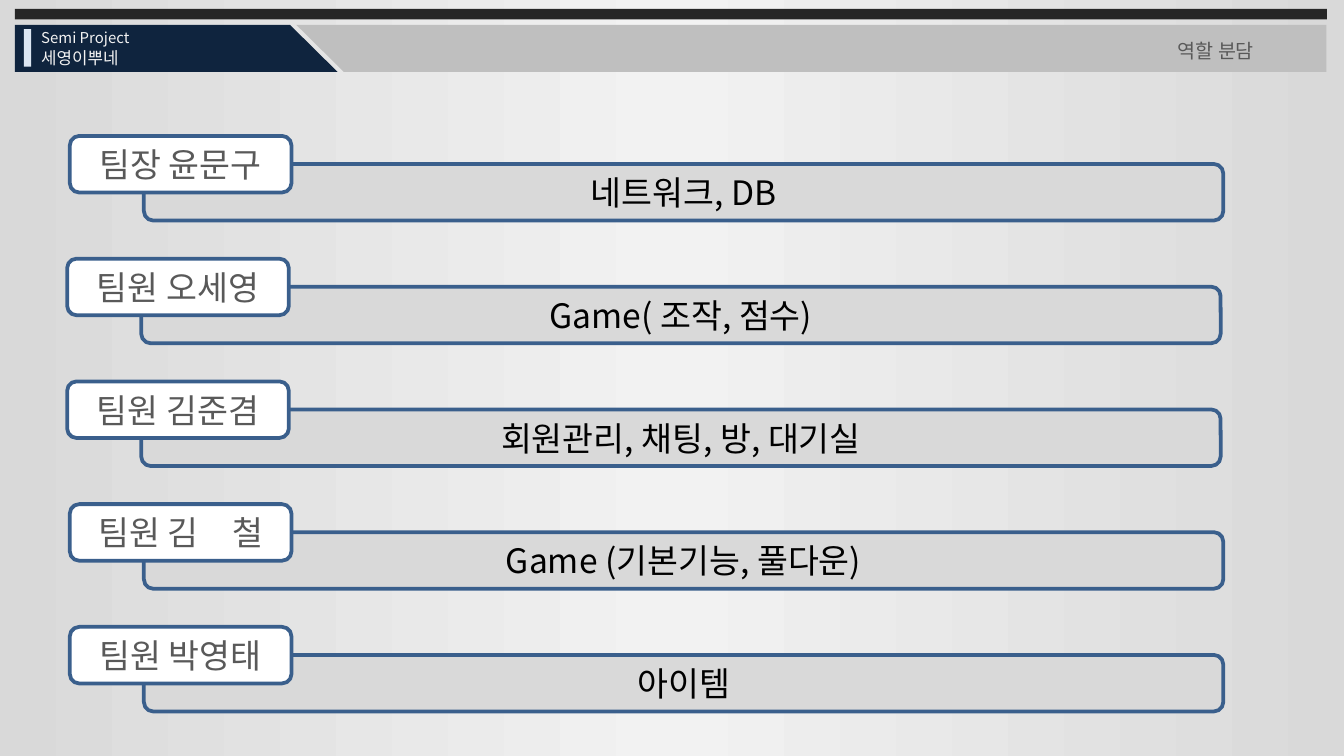
from copy import deepcopy

from lxml import etree
from pptx import Presentation
from pptx.dml.color import RGBColor
from pptx.enum.shapes import MSO_SHAPE
from pptx.enum.text import MSO_ANCHOR, MSO_AUTO_SIZE, PP_ALIGN
from pptx.oxml.ns import qn
from pptx.util import Cm, Pt

RECT = MSO_SHAPE.RECTANGLE
ROUND = MSO_SHAPE.ROUNDED_RECTANGLE
WEDGE = MSO_SHAPE.RIGHT_TRIANGLE
LEFT, CENTER = PP_ALIGN.LEFT, PP_ALIGN.CENTER
MIDDLE = MSO_ANCHOR.MIDDLE
GROW = MSO_AUTO_SIZE.SHAPE_TO_FIT_TEXT

FONT = "Noto Sans CJK KR"
HUES = {
    "edge": "D9D9D9", "glow": "F2F2F2", "dark": "262626", "navy": "0F243E",
    "gray": "BFBFBF", "pale": "DCE6F2", "line": "3A5F8C", "white": "FFFFFF",
    "text": "595959", "black": "000000",
}

# Member, role, left edge in cm
TEAM = [
    ("팀장 윤문구", "네트워크, DB", 1.32),
    ("팀원 오세영", "Game( 조작, 점수)", 1.27),
    ("팀원 김준겸", "회원관리, 채팅, 방, 대기실", 1.27),
    ("팀원 김　철", "Game (기본기능, 풀다운)", 1.32),
    ("팀원 박영태", "아이템", 1.32),
]
# Kind, box in cm, colour, turn in degrees
HEAD = [
    (RECT, (0.28, 0.17, 24.8, 0.2), "dark", 0),
    (RECT, (0.28, 0.47, 5.2, 0.89), "navy", 0),
    (WEDGE, (5.48, 0.47, 0.9, 0.89), "navy", 0),
    (RECT, (6.5, 0.47, 18.57, 0.89), "gray", 0),
    (WEDGE, (5.6, 0.47, 0.9, 0.89), "gray", 180),
    (RECT, (0.45, 0.55, 0.14, 0.71), "pale", 0),
]
# Words, box in cm, size, colour, alignment
LABELS = [
    ("Semi Project", (0.53, 0.41, 3.81, 0.6), 8, "glow", LEFT),
    ("세영이뿌네", (0.53, 0.77, 4.95, 0.64), 9, "glow", LEFT),
    ("역할 분담", (20.73, 0.61, 4.5, 0.71), 10.5, "text", CENTER),
]
TOP, PITCH = 2.57, 2.32
TAB = (4.19, 1.07)
BAR = (20.4, 1.07)
SHIFT = (1.4, 0.53)


def rgb(name):
    return RGBColor.from_string(HUES[name])


def cms(box):
    return [Cm(n) for n in box]


def write(frame, words, size, hue, align):
    frame.word_wrap = True
    para = frame.paragraphs[0]
    para.alignment = align
    run = para.add_run()
    run.text = words
    for key, val in {"name": FONT, "size": Pt(size)}.items():
        setattr(run.font, key, val)
    run.font.color.rgb = rgb(hue)
    # East Asian letters take their font from a separate element
    etree.SubElement(run.font._element, qn("a:ea"), typeface=FONT)


def draw(shapes, kind, box, fill, line=None):
    shape = shapes.add_shape(kind, *cms(box))
    shape.shadow.inherit = False
    shape.fill.solid()
    shape.fill.fore_color.rgb = rgb(fill)
    if line:
        shape.line.color.rgb = rgb(line)
        shape.line.width = Pt(2)
    else:
        shape.line.fill.background()
    return shape


def paint(slide):
    """Give the slide a three-stop gradient from left to right."""
    fill = slide.background.fill
    fill.gradient()
    fill.gradient_angle = 0
    stops = slide.element.find(".//" + qn("a:gsLst"))
    stops.insert(1, deepcopy(stops[0]))
    marks = [(0, "edge"), (0.5, "glow"), (1, "edge")]
    for stop, (pos, hue) in zip(fill.gradient_stops, marks):
        stop.position = pos
        stop.color.rgb = rgb(hue)


def main():
    deck = Presentation()
    deck.slide_width, deck.slide_height = Cm(25.4), Cm(14.29)
    slide = deck.slides.add_slide(deck.slide_layouts[6])
    paint(slide)

    for kind, box, hue, turn in HEAD:
        draw(slide.shapes, kind, box, hue).rotation = turn
    for words, box, size, hue, align in LABELS:
        frame = slide.shapes.add_textbox(*cms(box)).text_frame
        write(frame, words, size, hue, align)
        frame.auto_size = GROW

    for i, (name, role, left) in enumerate(TEAM):
        top = TOP + i * PITCH
        group = slide.shapes.add_group_shape()
        parts = [
            (role, (left + SHIFT[0], top + SHIFT[1], *BAR), "edge", "black"),
            (name, (left, top, *TAB), "white", "text"),
        ]
        for words, box, fill, hue in parts:
            shape = draw(group.shapes, ROUND, box, fill, "line")
            shape.text_frame.vertical_anchor = MIDDLE
            write(shape.text_frame, words, 18, hue, CENTER)

    deck.save("out.pptx")


if __name__ == "__main__":
    main()
